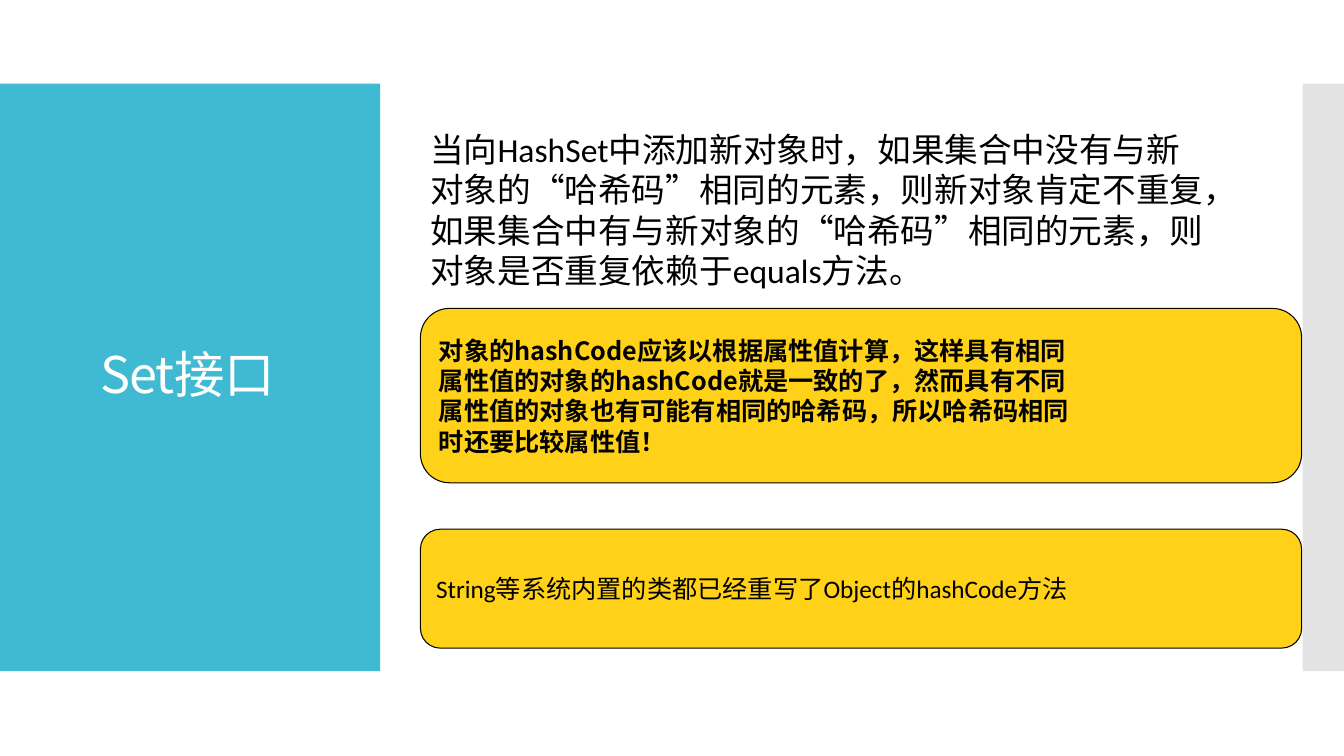
from dataclasses import dataclass

from lxml import etree
from pptx import Presentation
from pptx import util as u
from pptx.dml.color import RGBColor
from pptx.enum import shapes, text
from pptx.oxml.ns import qn

EMU_PER_PX = 9144  # 100 px to the inch


@dataclass(frozen=True)
class Theme:
    teal: str = "40BAD2"
    grey: str = "C8C8C8"
    yellow: str = "FFCC00"
    black: str = "000000"
    white: str = "FFFFFF"
    latin: str = "Calibri"
    title_font: str = "Noto Sans CJK SC"
    note_font: str = "Noto Sans CJK JP"
    title_size: int = 36
    body_size: int = 24
    note_size: int = 18


THEME = Theme()


@dataclass(frozen=True)
class Box:
    left: int
    top: int
    width: int
    height: int

    def emu(self) -> list[u.Emu]:
        return [px(n) for n in (self.left, self.top, self.width, self.height)]


@dataclass(frozen=True)
class Panel:
    box: Box
    color: str
    opacity: int = 100


@dataclass(frozen=True)
class Note:
    box: Box
    lines: tuple[str, ...]
    font: str
    bold: bool = False


PANELS = (
    Panel(Box(0, 83, 377, 583), THEME.teal),
    Panel(Box(1292, 83, 42, 583), THEME.grey, 50),
)
TITLE_BOX = Box(25, 123, 322, 503)
BODY_BOX = Box(417, 123, 796, 172)
BODY = (
    "当向HashSet中添加新对象时，如果集合中没有与新对象的“哈希码”相同的元素，"
    "则新对象肯定不重复，如果集合中有与新对象的“哈希码”相同的元素，"
    "则对象是否重复依赖于equals方法。"
)
NOTES = (
    Note(
        Box(417, 306, 874, 173),
        (
            "对象的hashCode应该以根据属性值计算，这样具有相同",
            "属性值的对象的hashCode就是一致的了，然而具有不同",
            "属性值的对象也有可能有相同的哈希码，所以哈希码相同",
            "时还要比较属性值！",
        ),
        THEME.note_font,
        bold=True,
    ),
    Note(
        Box(417, 525, 874, 118),
        ("String等系统内置的类都已经重写了Object的hashCode方法",),
        THEME.latin,
    ),
)


def px(length: int) -> u.Emu:
    return u.Emu(length * EMU_PER_PX)


def add_filled(page, kind, box: Box, color: str, opacity: int):
    shape = page.shapes.add_shape(kind, *box.emu())
    shape.shadow.inherit = False
    shape.fill.solid()
    shape.fill.fore_color.rgb = RGBColor.from_string(color)
    shape.line.fill.background()
    if opacity < 100:
        fill_color = shape.fill._xPr.find(qn("a:solidFill"))[0]
        etree.SubElement(fill_color, qn("a:alpha"), val=str(opacity * 1000))
    return shape


def write(frame, lines: tuple[str, ...], *, font: str, size: int, color: str,
          bold: bool = False, align=text.PP_ALIGN.LEFT,
          line_spacing: float | None = None, tracking: int = 0) -> None:
    """Write one paragraph per line; tracking is in hundredths of a point."""
    for index, line in enumerate(lines):
        para = frame.add_paragraph() if index else frame.paragraphs[0]
        para.alignment = align
        para.line_spacing = line_spacing
        span = para.add_run()
        span.text = line
        span.font.name = font
        span.font.size = u.Pt(size)
        span.font.bold = bold
        span.font.color.rgb = RGBColor.from_string(color)
        if tracking:
            span.font._element.set("spc", str(tracking))


def add_text_frame(page, box: Box, anchor):
    frame = page.shapes.add_textbox(*box.emu()).text_frame
    frame.word_wrap = True
    frame.vertical_anchor = anchor
    return frame


def add_note(page, note: Note) -> None:
    shape = add_filled(page, shapes.MSO_SHAPE.ROUNDED_RECTANGLE, note.box,
                       THEME.yellow, 90)
    shape.adjustments[0] = 0.167
    shape.line.color.rgb = RGBColor.from_string(THEME.black)
    shape.line.width = u.Pt(0.75)
    frame = shape.text_frame
    frame.word_wrap = False
    frame.vertical_anchor = text.MSO_ANCHOR.MIDDLE
    write(frame, note.lines, font=note.font, size=THEME.note_size,
          color=THEME.black, bold=note.bold)


def main() -> None:
    deck = Presentation()
    deck.slide_width, deck.slide_height = u.Inches(13.33), u.Inches(7.5)
    page = deck.slides.add_slide(deck.slide_layouts[6])

    # Side panels
    for panel in PANELS:
        add_filled(page, shapes.MSO_SHAPE.RECTANGLE, panel.box, panel.color,
                   panel.opacity)

    # Title
    title = add_text_frame(page, TITLE_BOX, text.MSO_ANCHOR.MIDDLE)
    write(title, ("Set接口",), font=THEME.title_font, size=THEME.title_size,
          color=THEME.white, align=text.PP_ALIGN.CENTER, line_spacing=0.9,
          tracking=-60)

    # Explanation
    body = add_text_frame(page, BODY_BOX, text.MSO_ANCHOR.TOP)
    body.auto_size = text.MSO_AUTO_SIZE.SHAPE_TO_FIT_TEXT
    write(body, (BODY,), font=THEME.latin, size=THEME.body_size,
          color=THEME.black)

    # Highlighted notes
    for note in NOTES:
        add_note(page, note)

    deck.save("out.pptx")


if __name__ == "__main__":
    main()
